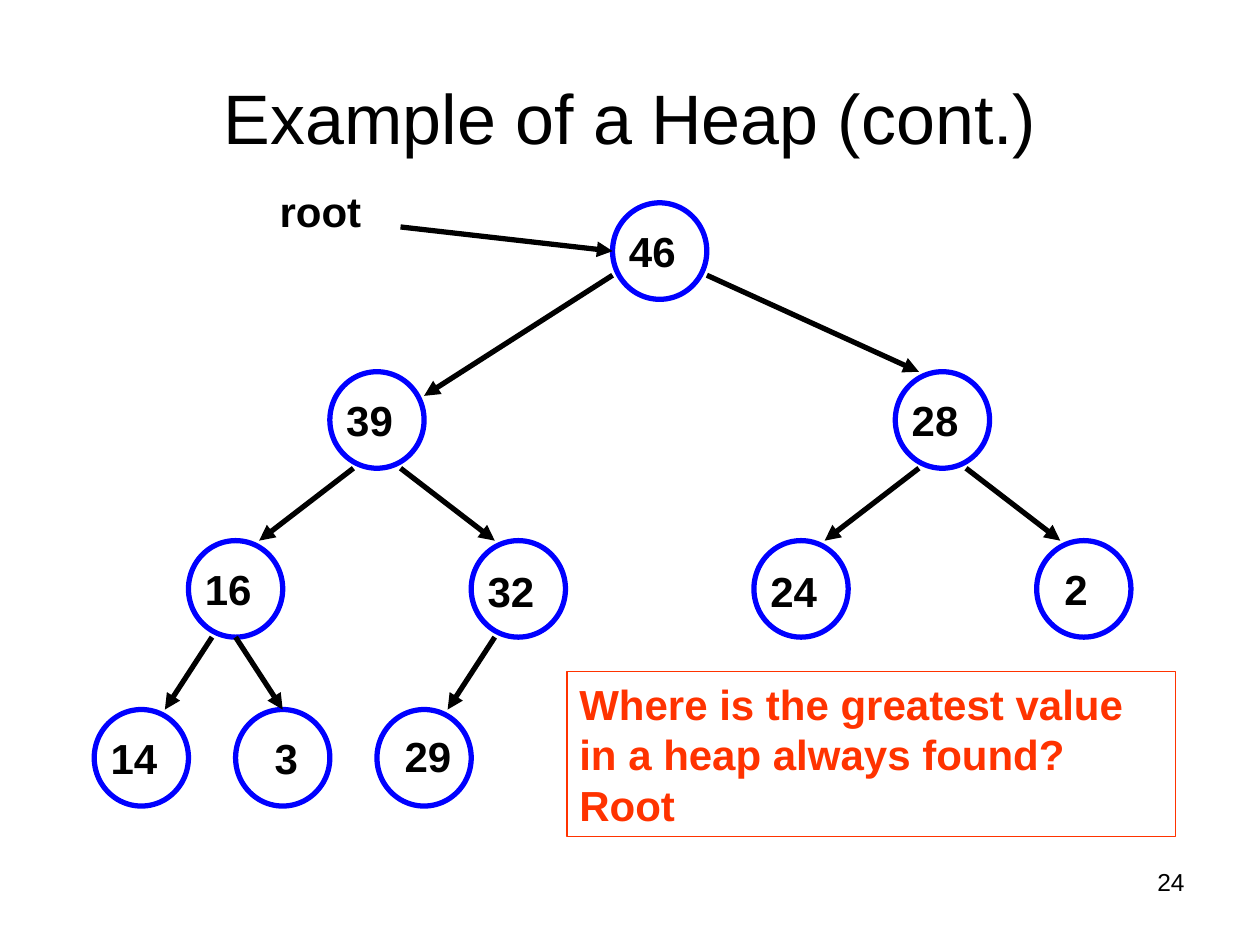
from lxml.etree import SubElement
from pptx import Presentation
from pptx.dml.color import RGBColor
from pptx.enum.shapes import MSO_CONNECTOR, MSO_SHAPE
from pptx.enum.text import MSO_ANCHOR, PP_ALIGN
from pptx.oxml.ns import qn
from pptx.util import Inches, Pt

# Content
TITLE = "Example of a Heap (cont.)"
QUESTION = "Where is the greatest value in a heap always found? Root"
PAGE = "24"
COLORS = {"ink": "000000", "node": "0000FF", "paper": "FFFFFF", "accent": "FF3300"}

# Nodes: value, grid column, grid row, label indent steps, label drop in inches
NODES = [
    ("46", 13, 0, 1, 0.13),
    ("39", 7, 7, 1, 0.13), ("28", 19, 7, 1, 0.13),
    ("16", 4, 14, 1, 0.13), ("32", 10, 14, 1, 0.15),
    ("24", 16, 14, 1, 0.15), ("2", 22, 14, 2, 0.13),
    ("14", 2, 21, 1, 0.13), ("3", 5, 21, 3, 0.13), ("29", 8, 21, 2, 0.12),
]
# Arrows: start and end as (grid column, grid row)
ARROWS = [
    ((8.5, 1), (13, 2)),
    ((13, 3), (9, 8)), ((15, 3), (19.5, 7)),
    ((7.5, 11), (5.5, 14)), ((8.5, 11), (10.5, 14)),
    ((19.5, 11), (17.5, 14)), ((20.5, 11), (22.5, 14)),
    ((4.5, 18), (3.5, 21)), ((5, 18), (6, 21)),
    ((10.5, 18), (9.5, 21)),
]

# Grid: a node is 2 columns wide and 4 rows high
COL, ROW, TOP = 0.374, 0.1915, 1.61
INDENT = 0.09


def color(name):
    return RGBColor.from_string(COLORS[name])


def grid(col, row):
    return col * COL, TOP + row * ROW


def set_text(s, text, size, bold=False, ink="ink", align=PP_ALIGN.LEFT):
    tf = s.text_frame
    tf.word_wrap = True
    p = tf.paragraphs[0]
    p.text, p.alignment = text, align
    p.font.name, p.font.size, p.font.bold = "Arial", Pt(size), bold
    p.font.color.rgb = color(ink)
    return tf


def add_text(slide, box, text, size, **style):
    s = slide.shapes.add_textbox(*map(Inches, box))
    return set_text(s, text, size, **style)


def add_node(slide, value, col, row, steps, drop):
    x, y = grid(col, row)
    s = slide.shapes.add_shape(
        MSO_SHAPE.OVAL, *map(Inches, (x, y, 2 * COL, 4 * ROW)))
    s.shadow.inherit = False
    s.fill.solid()
    s.fill.fore_color.rgb = color("paper")
    s.line.color.rgb, s.line.width = color("node"), Pt(3)
    tf = add_text(slide, (x - 0.06, y + drop, 0.94, 0.76), value, 24, bold=True)
    tf.margin_left = Inches(0.1 + steps * INDENT)


def add_arrow(slide, start, end):
    points = map(Inches, grid(*start) + grid(*end))
    s = slide.shapes.add_connector(MSO_CONNECTOR.STRAIGHT, *points)
    s.line.color.rgb, s.line.width = color("ink"), Pt(3)
    SubElement(s.line._get_or_add_ln(), qn("a:tailEnd"), type="triangle")
    SubElement(s._element.spPr, qn("a:effectLst"))


def main():
    prs = Presentation()
    prs.slide_width, prs.slide_height = Inches(10), Inches(7.5)
    slide = prs.slides.add_slide(prs.slide_layouts[5])

    # Title and page number
    title = slide.shapes.title
    title.left, title.top, title.width, title.height = map(Inches, (0.5, 0.3, 9, 1.25))
    tf = set_text(title, TITLE, 40, align=PP_ALIGN.CENTER)
    tf.vertical_anchor = MSO_ANCHOR.MIDDLE
    add_text(slide, (7.17, 6.83, 2.33, 0.52), PAGE, 14, align=PP_ALIGN.RIGHT)

    # Heap
    for node in NODES:
        add_node(slide, *node)
    for start, end in ARROWS:
        add_arrow(slide, start, end)
    add_text(slide, (2.12, 1.42, 1.25, 0.57), "root", 24, bold=True)

    # Question box
    s = slide.shapes.add_shape(
        MSO_SHAPE.RECTANGLE, *map(Inches, (4.5, 5.33, 4.83, 1.31)))
    s.shadow.inherit = False
    s.fill.background()
    s.line.color.rgb, s.line.width = color("accent"), Pt(0.75)
    tf = set_text(s, QUESTION, 24, bold=True, ink="accent")
    tf.vertical_anchor = MSO_ANCHOR.MIDDLE

    prs.save("out.pptx")


if __name__ == "__main__":
    main()
